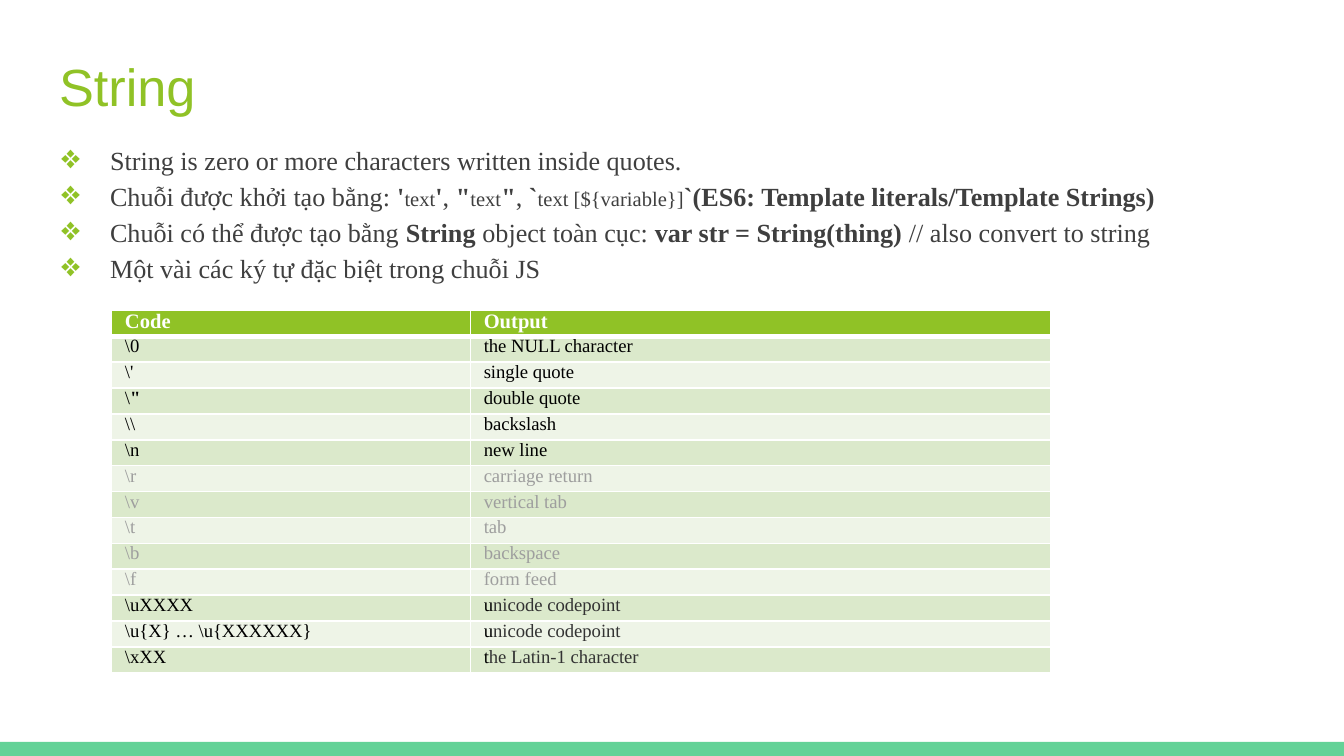
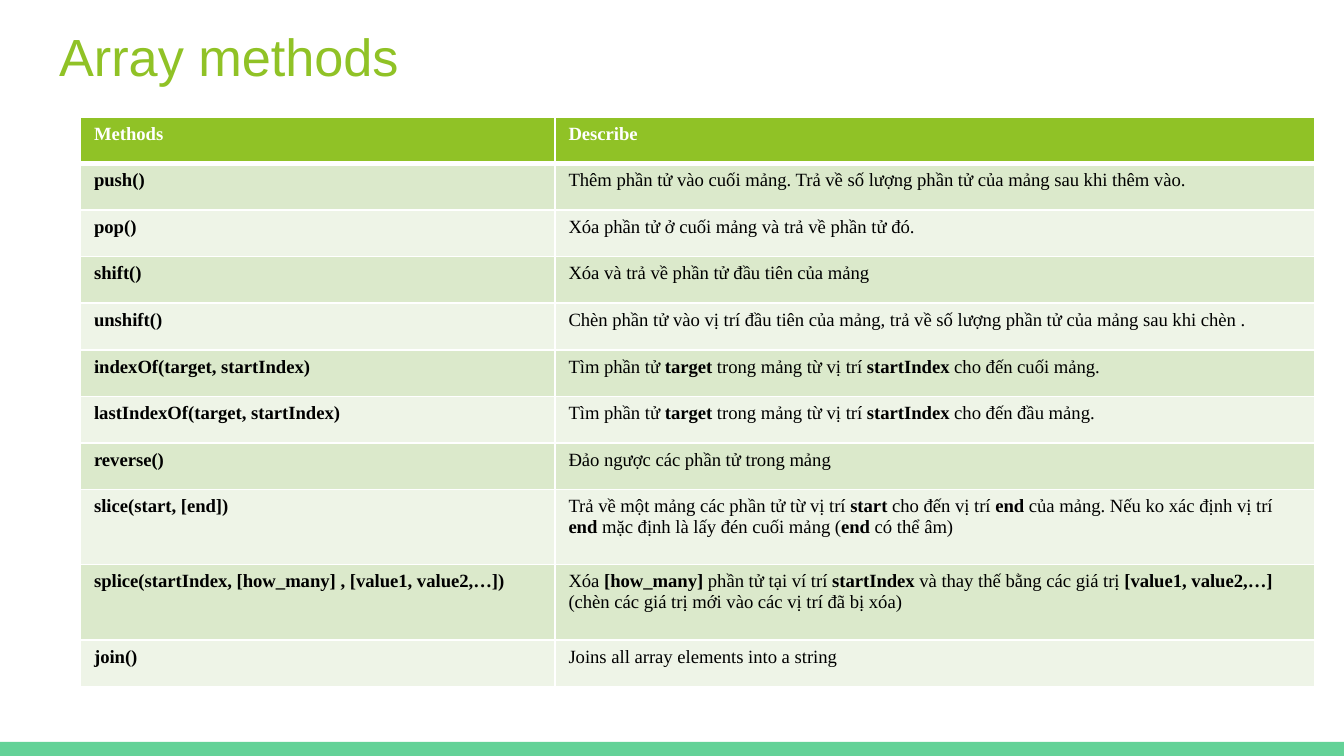
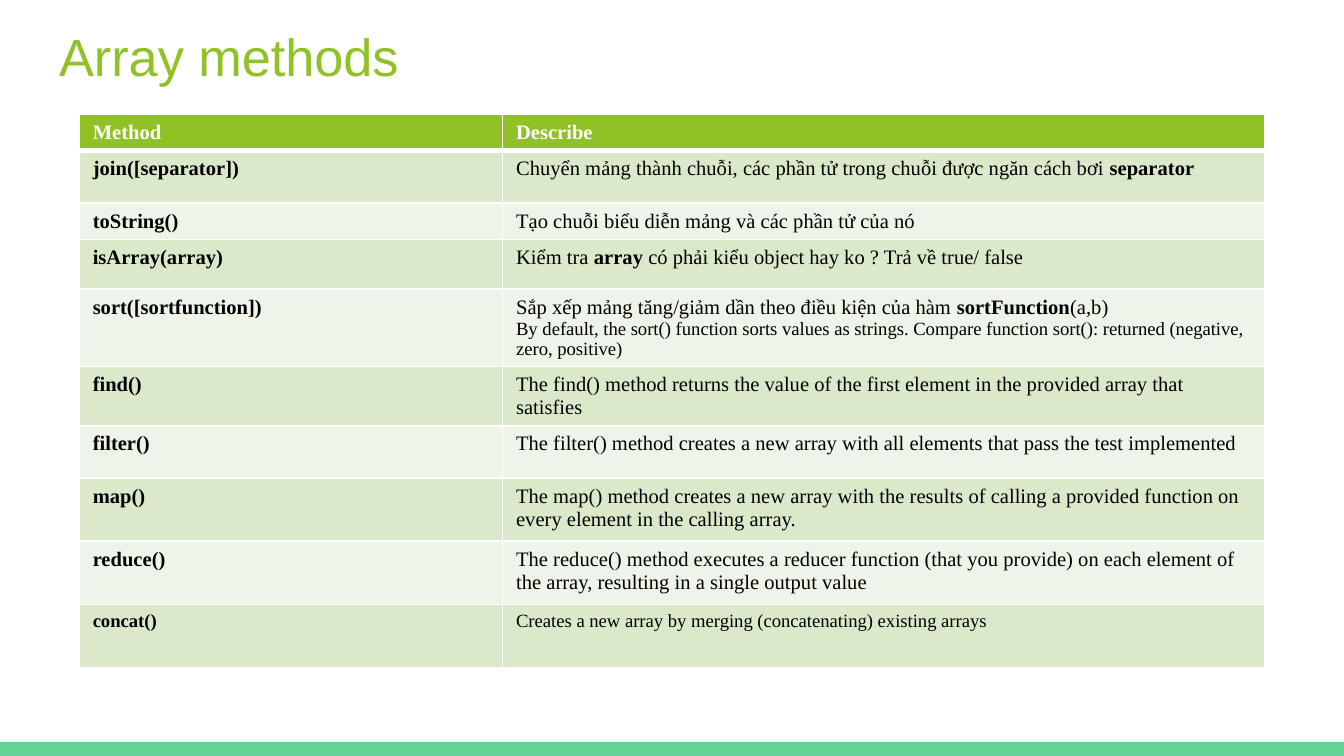
from dataclasses import dataclass

from lxml.etree import SubElement
from pptx import Presentation
from pptx.dml.color import RGBColor as RGB
from pptx.enum.shapes import MSO_SHAPE as SHAPE
from pptx.enum.text import MSO_ANCHOR as ANCHOR, MSO_AUTO_SIZE as AUTOSIZE, PP_ALIGN as ALIGN
from pptx.oxml.ns import qn
from pptx.util import Inches, Pt


@dataclass(frozen=True)
class Theme:
    green: str = "90C226"
    band: str = "63D297"
    stripes: tuple = ("EEF4E7", "DBE9CB")
    white: str = "FFFFFF"
    black: str = "000000"
    body: str = "3F3F3F"
    muted: str = "9E9E9E"
    soft: str = "333333"
    heading_font: str = "Arial"
    text_font: str = "Times New Roman"
    title_size: int = 28
    body_size: int = 14
    medium: int = 11
    small: int = 10


THEME = Theme()


def write(paragraph, text, alt=None, **style):
    """Add runs: ^ switches the alt style, ** switches bold, ~ is a no-break space."""
    for i, part in enumerate(text.replace("~", chr(160)).split("^")):
        look = {"font": THEME.text_font, "bold": False, **style}
        if i % 2:
            look.update(alt)
        for j, piece in enumerate(part.split("**")):
            if piece:
                run = paragraph.add_run()
                run.text = piece
                run.font.name = look["font"]
                run.font.size = Pt(look["size"])
                run.font.bold = look["bold"] or j % 2 == 1
                run.font.color.rgb = RGB.from_string(look["color"])


def add_grid(slide, left, top, widths, heights, rows, size, header_size,
             alt=None, margin=0.05, bold_first=True, muted=()):
    table = slide.shapes.add_table(
        len(rows), len(widths), Inches(left), Inches(top),
        Inches(sum(widths)), Inches(sum(heights))).table
    for column, width in zip(table.columns, widths):
        column.width = Inches(width)
    for r, (row, height) in enumerate(zip(rows, heights)):
        table.rows[r].height = Inches(height)
        for c, text in enumerate(row):
            cell = table.cell(r, c)
            cell.margin_left = cell.margin_right = Inches(0.1)
            cell.margin_top = cell.margin_bottom = Inches(margin)

            # White rules, thicker under the header
            for side in "LRTB":
                thick = (r, side) in ((0, "B"), (1, "T"))
                rule = SubElement(cell._tc.get_or_add_tcPr(), qn(f"a:ln{side}"),
                                  w=str(Pt(3 if thick else 1)))
                SubElement(SubElement(rule, qn("a:solidFill")),
                           qn("a:srgbClr"), val=THEME.white)
            cell.fill.solid()
            cell.fill.fore_color.rgb = RGB.from_string(
                THEME.stripes[r % 2] if r else THEME.green)

            if r == 0:
                style = dict(size=header_size, color=THEME.white, bold=True)
            else:
                style = dict(size=size, bold=bold_first and c == 0,
                             color=THEME.muted if r in muted else THEME.black)
            for n, line in enumerate(text.split("\n")):
                frame = cell.text_frame
                paragraph = frame.add_paragraph() if n else frame.paragraphs[0]
                write(paragraph, line, alt, **style)


# Widescreen page
prs = Presentation()
prs.slide_width = Inches(10)
prs.slide_height = Inches(10) * 9 // 16
layout = prs.slide_layouts.get_by_name("Title Only")

# Slides and their titles
slides = []
for heading, title_top in (("String", 0.3), ("Array methods", 0.08), ("Array methods", 0.08)):
    slide = prs.slides.add_slide(layout)
    title = slide.shapes.title
    title.left, title.top = Inches(0.34), Inches(title_top)
    title.width, title.height = Inches(9.32), Inches(0.63)
    frame = title.text_frame
    frame.auto_size = AUTOSIZE.NONE
    frame.vertical_anchor = ANCHOR.TOP
    frame.margin_left = frame.margin_right = Inches(0.1)
    frame.margin_top = frame.margin_bottom = Inches(0.1)
    frame.paragraphs[0].alignment = ALIGN.LEFT
    write(frame.paragraphs[0], heading, font=THEME.heading_font,
          size=THEME.title_size, color=THEME.green)
    slides.append(slide)
string_slide, basics_slide, more_slide = slides

# Bottom band, moved to the shared layout
band = string_slide.shapes.add_shape(
    SHAPE.RECTANGLE, 0, Inches(5.52), prs.slide_width, Inches(0.11))
band.shadow.inherit = False
band.fill.solid()
band.fill.fore_color.rgb = RGB.from_string(THEME.band)
band.line.fill.background()
band.element.nvSpPr.cNvPr.set("id", "99")
layout.shapes.element.append(band.element)

# String: facts
facts = [
    "String is zero or more characters written inside quotes.",
    "Chuỗi được khởi tạo bằng: **'**^text^**'**, **\"**^text^**\"**, **`**^text [${variable}]^"
    "**`(ES6: Template literals/Template Strings)**",
    "Chuỗi có thể được tạo bằng **String **object toàn cục: "
    "**var str = String(thing)** // also convert to string",
    "Một vài các ký tự đặc biệt trong chuỗi JS",
]
frame = string_slide.shapes.add_textbox(
    Inches(0.34), Inches(0.94), Inches(9.32), Inches(1.12)).text_frame
frame.word_wrap = True
frame.margin_left = frame.margin_right = Inches(0.1)
frame.margin_top = frame.margin_bottom = Inches(0.1)
for n, fact in enumerate(facts):
    paragraph = frame.add_paragraph() if n else frame.paragraphs[0]
    paragraph.line_spacing = 1.15
    props = paragraph._p.get_or_add_pPr()
    props.set("marL", str(Inches(0.38)))
    props.set("indent", str(Inches(-0.37)))
    SubElement(SubElement(props, qn("a:buClr")), qn("a:srgbClr"), val=THEME.green)
    SubElement(props, qn("a:buSzPct"), val="100000")
    SubElement(props, qn("a:buFont"), typeface=THEME.text_font)
    SubElement(props, qn("a:buChar"), char="❖")
    write(paragraph, fact, {"size": THEME.medium}, size=THEME.body_size, color=THEME.body)

# String: special characters
escapes = [
    ("Code", "Output"),
    ("\\0", "the NULL character"),
    ("\\'", "single quote"),
    ("\\**\"**", "double quote"),
    ("\\\\", "backslash"),
    ("\\n", "new line"),
    ("\\r", "carriage return"),
    ("\\v", "vertical tab"),
    ("\\t", "tab"),
    ("\\b", "backspace"),
    ("\\f", "form feed"),
    ("\\uXXXX", "u^nicode codepoint^"),
    ("\\u{X} … \\u{XXXXXX}", "u^nicode codepoint^"),
    ("\\xXX", "t^he Latin-1 character^"),
]
add_grid(string_slide, 0.83, 2.31, (2.67, 4.32), [2.7 / len(escapes)] * len(escapes),
         escapes, THEME.small, THEME.medium, alt={"color": THEME.soft}, margin=0,
         bold_first=False, muted=range(6, 11))

# Array methods: basics
basics = [
    ("Methods", "Describe"),
    ("push()", "Thêm phần tử vào cuối mảng. Trả về số lượng phần tử của mảng sau khi thêm vào."),
    ("pop()", "Xóa phần tử ở cuối mảng và trả về phần tử đó."),
    ("shift()", "Xóa và trả về phần tử đầu tiên của mảng"),
    ("unshift()", "Chèn phần tử vào vị trí đầu tiên của mảng, "
                  "trả về số lượng phần tử của mảng sau khi chèn ."),
    ("indexOf(target, startIndex)",
     "Tìm phần tử **target** trong mảng từ vị trí **startIndex** cho đến cuối mảng."),
    ("lastIndexOf(target, startIndex)",
     "Tìm phần tử **target** trong mảng từ vị trí **startIndex** cho đến đầu mảng."),
    ("reverse()", "Đảo ngược các phần tử trong mảng"),
    ("slice(start, [end])",
     "Trả về một mảng các phần tử từ vị trí **start** cho đến vị trí **end **của mảng. "
     "Nếu ko xác định vị trí **end** mặc định là lấy đén cuối mảng (**end** có thể âm)"),
    ("splice(startIndex, [how_many] , [value1, value2,…])",
     "Xóa **[how_many] **phần tử tại ví trí **startIndex **và thay thế bằng các giá trị "
     "**[value1, value2,…] **(chèn các giá trị mới vào các vị trí đã bị xóa)"),
    ("join()", "Joins all array elements into a string"),
]
one_line, two_lines = 3.12 / 9, 0.56
add_grid(basics_slide, 0.6, 0.87, (3.53, 5.65),
         [one_line] * 8 + [two_lines] * 2 + [one_line],
         basics, THEME.small, THEME.small)

# Array methods: conversion, sorting and callbacks
more = [
    ("Method", "Describe"),
    ("join([separator])",
     "Chuyển mảng thành chuỗi, các phần tử trong chuỗi được ngăn cách bơi **separator**"),
    ("toString()", "Tạo chuỗi biểu diễn mảng và các phần tử của nó"),
    ("isArray(array)", "Kiểm tra **array** có phải kiểu object hay ko ? Trả về true/ false"),
    ("sort([sortfunction])",
     "Sắp xếp mảng tăng/giảm dần theo điều kiện của hàm **sortFunction**(a,b)\n"
     "^By default, the sort() function sorts values as strings. "
     "Compare function sort(): returned (negative, zero, positive)^"),
    ("find()", "The~find()~method returns the~value~of the~first element~"
               "in the provided array that satisfies"),
    ("filter()", "The~filter()~method~creates a new array~with all elements "
                 "that pass the test implemented"),
    ("map()", "The~map()~method~creates a new array~with the results of calling "
              "a provided function on every element in the calling~array."),
    ("reduce()", "The~reduce()~method executes a~reducer~function (that you provide) "
                 "on each element of the array, resulting in a single output value"),
    ("^concat()^", "^Creates a new array by merging (concatenating) existing arrays^"),
]
add_grid(more_slide, 0.59, 0.85, (3.15, 5.67),
         (0.27, 0.39, 0.27, 0.37, 0.57, 0.44, 0.39, 0.47, 0.47, 0.47),
         more, THEME.medium, THEME.medium, alt={"size": THEME.small})

prs.save("out.pptx")
